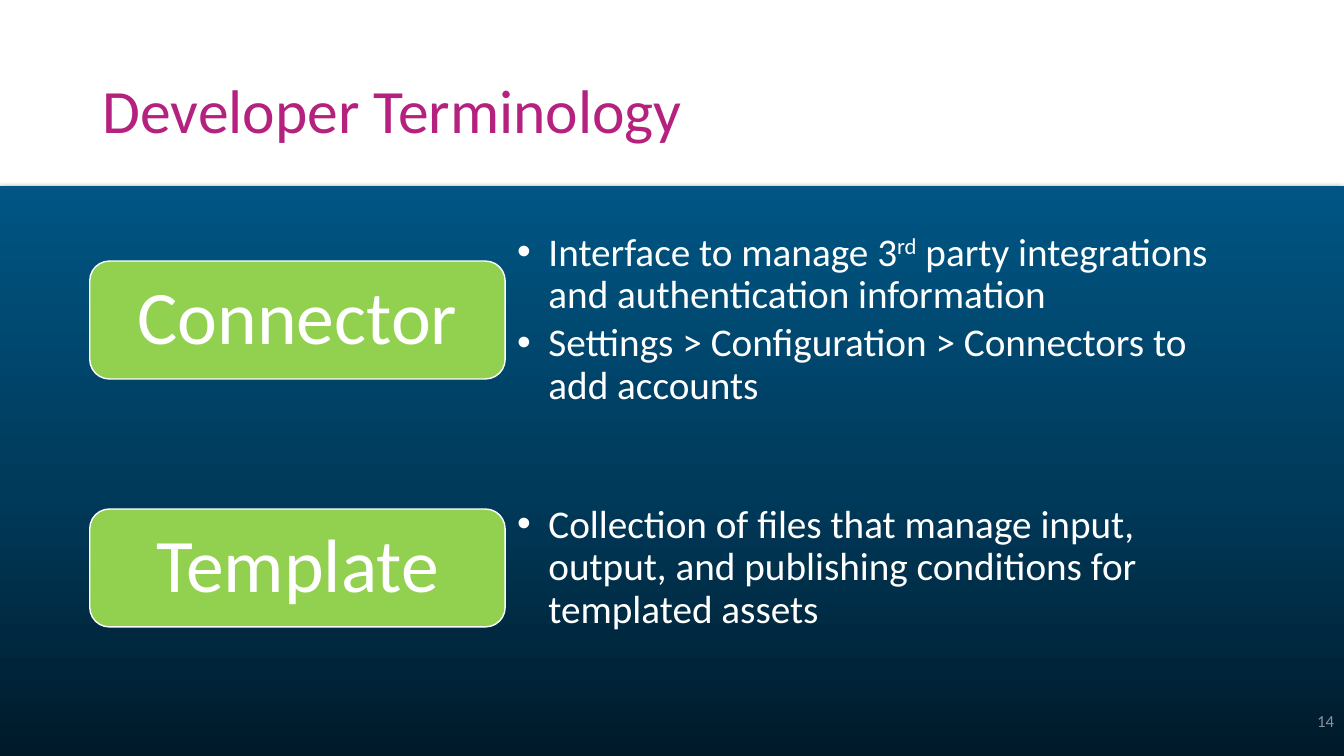
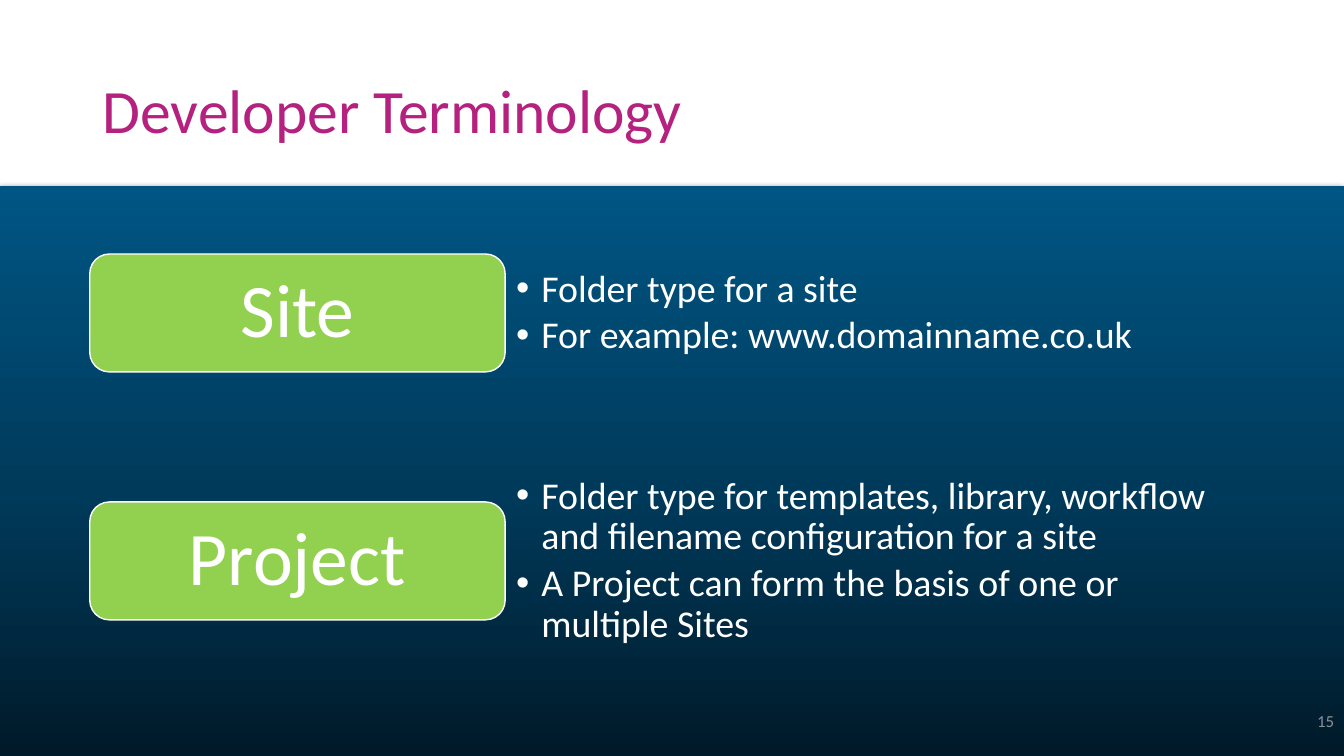
"""Build two developer terminology slides that pair each term with its details."""
from dataclasses import dataclass

from lxml.etree import SubElement
from pptx import Presentation
from pptx.dml.color import RGBColor
from pptx.enum.shapes import MSO_SHAPE
from pptx.enum.text import MSO_ANCHOR, PP_ALIGN
from pptx.oxml import parse_xml
from pptx.oxml.ns import nsdecls, qn
from pptx.util import Inches, Pt

TITLE = "Developer Terminology"
SLIDES = [
    {
        "number": 14, "top": 2.59, "size": 28, "indent": 0.31, "inset": 0.12,
        "terms": [
            ("Connector", [
                ["Interface to manage 3", ("rd", 30),
                 " party integrations and authentication information"],
                ["Settings > Configuration > Connectors to add accounts"],
            ]),
            ("Template", [
                ["Collection of files that manage input, output, and publishing "
                 "conditions for templated assets"],
            ]),
        ],
    },
    {
        "number": 15, "top": 2.52, "size": 27, "indent": 0.25, "inset": 0.11,
        "terms": [
            ("Site", [
                ["Folder type for a site"],
                ["For example: www.domainname.co.uk"],
            ]),
            ("Project", [
                ["Folder type for templates, library, workflow and filename "
                 "configuration for a site"],
                ["A Project can form the basis of one or multiple Sites"],
            ]),
        ],
    },
]


@dataclass(frozen=True)
class Theme:
    font: str = "Calibri"
    title: str = "B5217E"
    label: str = "92D050"
    light: str = "FFFFFF"
    muted: str = "8C919B"
    shadow: str = "000000"
    band: tuple = ((0, "005584"), (54, "003A5A"), (100, "001A2A"))
    title_size: int = 44
    label_size: int = 54
    number_size: int = 12


THEME = Theme()
WIDTH, HEIGHT = 13.33, 7.5
BAND_TOP = 1.85
LABEL_LEFT, LABEL_WIDTH, LABEL_HEIGHT = 0.89, 4.12, 1.17
DETAIL_WIDTH, DETAIL_HEIGHT = 7.21, 2.09
ROW_PITCH = 2.46


def add_bullet(para, indent):
    properties = para._p.get_or_add_pPr()
    properties.set("marL", str(Inches(indent)))
    properties.set("indent", str(-Inches(indent)))
    SubElement(properties, qn("a:buFont")).set("typeface", "Arial")
    SubElement(properties, qn("a:buChar")).set("char", "•")


def write_text(box, paragraphs, size, color, align=PP_ALIGN.LEFT,
               inset=(0.1, 0.05), indent=None, line_spacing=0.9):
    frame = box.text_frame
    frame.word_wrap = True
    frame.vertical_anchor = MSO_ANCHOR.MIDDLE
    frame.margin_left = frame.margin_right = Inches(inset[0])
    frame.margin_top = frame.margin_bottom = Inches(inset[1])
    for index, spans in enumerate(paragraphs):
        para = frame.add_paragraph() if index else frame.paragraphs[0]
        para.alignment = align
        para.line_spacing = line_spacing
        if index:
            para.space_before = Pt(4)
        if indent:
            add_bullet(para, indent)
        for item in spans:
            text, raised = (item, 0) if isinstance(item, str) else item
            span = para.add_run()
            span.text = text
            span.font.name = THEME.font
            span.font.size = Pt(size)
            span.font.color.rgb = RGBColor.from_string(color)
            if raised:
                span.font._element.set("baseline", str(raised * 1000))


def add_text(page, area, paragraphs, **style):
    box = page.shapes.add_textbox(*map(Inches, area))
    write_text(box, paragraphs, **style)


def add_band(page):
    area = (0, BAND_TOP, WIDTH, HEIGHT - BAND_TOP)
    band = page.shapes.add_shape(MSO_SHAPE.RECTANGLE, *map(Inches, area))
    band.line.fill.background()
    band.shadow.inherit = False
    band.fill.gradient()
    band.fill.gradient_angle = 270
    stops = band._element.spPr.find(".//" + qn("a:gsLst"))
    for stop in list(stops):
        stops.remove(stop)
    for position, color in THEME.band:
        stops.append(parse_xml(
            f'<a:gs {nsdecls("a")} pos="{position * 1000}">'
            f'<a:srgbClr val="{color}"/></a:gs>'))
    band._element.spPr.find(qn("a:effectLst")).append(parse_xml(
        f'<a:outerShdw {nsdecls("a")} blurRad="{Pt(4.5)}" dist="{Pt(1.5)}" '
        f'dir="5400000" algn="ctr" rotWithShape="0"><a:srgbClr val="{THEME.shadow}">'
        '<a:alpha val="63000"/></a:srgbClr></a:outerShdw>'))


def add_label(page, term, top):
    area = (LABEL_LEFT, top, LABEL_WIDTH, LABEL_HEIGHT)
    label = page.shapes.add_shape(MSO_SHAPE.ROUNDED_RECTANGLE, *map(Inches, area))
    label.shadow.inherit = False
    label.fill.solid()
    label.fill.fore_color.rgb = RGBColor.from_string(THEME.label)
    label.line.color.rgb = RGBColor.from_string(THEME.light)
    label.line.width = Pt(1)
    write_text(label, [[term]], size=THEME.label_size, color=THEME.light,
               align=PP_ALIGN.CENTER, inset=(0.23, 0.11))


def add_slide(deck, content):
    page = deck.slides.add_slide(deck.slide_layouts[6])
    add_band(page)
    add_text(page, (0.92, 0.4, 11.5, 1.45), [[TITLE]],
             size=THEME.title_size, color=THEME.title)
    add_text(page, (WIDTH - 3, 6.95, 3, 0.4), [[str(content["number"])]],
             size=THEME.number_size, color=THEME.muted, align=PP_ALIGN.RIGHT,
             line_spacing=1.0)
    for row, (term, details) in enumerate(content["terms"]):
        top = content["top"] + row * ROW_PITCH
        detail_top = top + (LABEL_HEIGHT - DETAIL_HEIGHT) / 2
        add_text(page, (LABEL_LEFT + LABEL_WIDTH, detail_top, DETAIL_WIDTH, DETAIL_HEIGHT),
                 details, size=content["size"], color=THEME.light,
                 inset=(content["inset"], 0.06), indent=content["indent"])
        add_label(page, term, top)


def main():
    deck = Presentation()
    deck.slide_width, deck.slide_height = Inches(WIDTH), Inches(HEIGHT)
    for content in SLIDES:
        add_slide(deck, content)
    deck.save("out.pptx")


if __name__ == "__main__":
    main()
